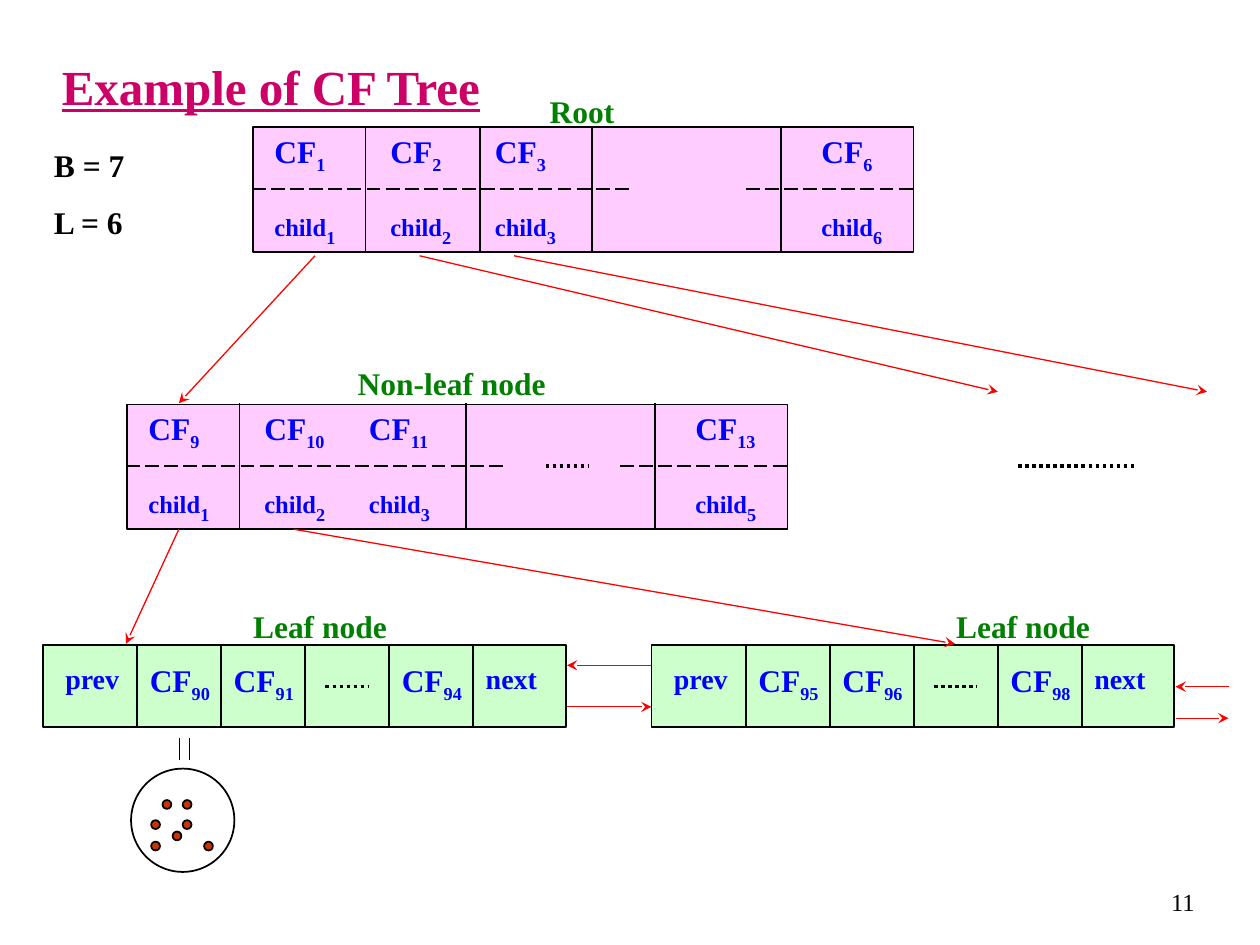
from dataclasses import dataclass

from lxml import etree
from pptx import Presentation
from pptx.dml.color import RGBColor
from pptx.enum.dml import MSO_LINE
from pptx.enum.shapes import MSO_CONNECTOR, MSO_SHAPE
from pptx.enum.text import MSO_ANCHOR, MSO_AUTO_SIZE, PP_ALIGN
from pptx.oxml.ns import qn
from pptx.util import Inches, Pt

STRAIGHT = MSO_CONNECTOR.STRAIGHT
RECT, OVAL = MSO_SHAPE.RECTANGLE, MSO_SHAPE.OVAL
DASH, DOTS = MSO_LINE.LONG_DASH, MSO_LINE.ROUND_DOT
LEFT, CENTER, RIGHT = PP_ALIGN.LEFT, PP_ALIGN.CENTER, PP_ALIGN.RIGHT
MIDDLE = MSO_ANCHOR.MIDDLE
FIT, NO_FIT = MSO_AUTO_SIZE.SHAPE_TO_FIT_TEXT, MSO_AUTO_SIZE.NONE


@dataclass(frozen=True)
class Theme:
    font: str = "Times New Roman"
    title: str = "CC0066"
    ink: str = "000000"
    entry: str = "0000FF"
    label: str = "008000"
    arrow: str = "FF0000"
    inner: str = "FFCCFF"
    leaf: str = "CCFFCC"
    point: str = "CC3300"
    title_size: int = 28
    text_size: int = 18
    link_size: int = 16
    small_size: int = 14
    edge: float = 1
    thin: float = 0.75
    hair: float = 0.25
    dots: float = 2


class TreeSlide:
    def __init__(self, prs, theme):
        self.theme = theme
        self.slide = prs.slides.add_slide(prs.slide_layouts[5])
        self.shapes = self.slide.shapes

    def start_group(self):
        self.shapes = self.slide.shapes.add_group_shape().shapes

    def end_group(self):
        self.shapes = self.slide.shapes

    def run(self, p, text, size, color, bold=True, underline=None, sub=False):
        r = p.add_run()
        r.text = text
        style = {"name": self.theme.font, "size": Pt(size),
                 "bold": bold, "underline": underline}
        for name, value in style.items():
            setattr(r.font, name, value)
        r.font.color.rgb = RGBColor.from_string(color)
        if sub:
            r.font._element.set("baseline", "-25000")

    def title(self, text, x, y, w, h):
        sp = self.slide.shapes.title
        place = {"left": x, "top": y, "width": w, "height": h}
        for name, value in place.items():
            setattr(sp, name, Inches(value))
        tf = sp.text_frame
        tf.auto_size, tf.vertical_anchor = NO_FIT, MIDDLE
        p = tf.paragraphs[0]
        p.alignment = LEFT
        self.run(p, text, self.theme.title_size, self.theme.title, underline=True)

    def text(self, lines, x, y, w, h, size, color, align=LEFT, sub=None,
             bold=True, anchor=None, before=0.62, fit=FIT):
        sp = self.shapes.add_textbox(Inches(x), Inches(y), Inches(w), Inches(h))
        tf = sp.text_frame
        frame = {"word_wrap": True, "auto_size": fit, "vertical_anchor": anchor}
        for name, value in frame.items():
            setattr(tf, name, value)
        for i, line in enumerate(lines):
            p = tf.add_paragraph() if i else tf.paragraphs[0]
            p.alignment, p.space_before = align, Pt(round(size * before, 1))
            self.run(p, line, size, color, bold)
            if sub:
                self.run(p, sub, self.theme.text_size, color, sub=True)

    def label(self, text, x, y, w):
        self.text([text], x, y, w, 0.4, self.theme.text_size, self.theme.label, CENTER)

    def entry(self, text, sub, x, y, w, size):
        self.text([text], x, y, w, 0.44, size, self.theme.entry, sub=sub)

    def shape(self, kind, x, y, w, h, fill=None):
        sp = self.shapes.add_shape(kind, Inches(x), Inches(y), Inches(w), Inches(h))
        sp.shadow.inherit = False
        if fill:
            sp.fill.solid()
            sp.fill.fore_color.rgb = RGBColor.from_string(fill)
        else:
            sp.fill.background()
        sp.line.color.rgb = RGBColor.from_string(self.theme.ink)
        sp.line.width = Pt(self.theme.edge)

    def line(self, x1, y1, x2, y2, width=None, color=None, dash=None, arrow=False):
        cx = self.shapes.add_connector(
            STRAIGHT, Inches(x1), Inches(y1), Inches(x2), Inches(y2))
        cx.line.color.rgb = RGBColor.from_string(color or self.theme.ink)
        cx.line.width = Pt(width or self.theme.edge)
        if dash:
            cx.line.dash_style = dash
        if arrow:
            ln = cx.line._get_or_add_ln()
            etree.SubElement(ln, qn("a:tailEnd")).set("type", "stealth")
        etree.SubElement(cx._element.spPr, qn("a:effectLst"))

    def arrow(self, x1, y1, x2, y2):
        self.line(x1, y1, x2, y2, self.theme.thin, self.theme.arrow, arrow=True)

    def dotted(self, x1, x2, y):
        self.line(x1, y, x2, y, self.theme.dots, dash=DOTS)

    def inner_node(self, x, y, dividers, entries):
        t = self.theme
        self.shape(RECT, x + 0.01, y + 0.01, 5.24, 0.99, t.inner)
        for dx in dividers:
            self.line(x + dx, y, x + dx, y + 1)
        for start, end in ((0, 3), (3.92, 5.25)):
            self.line(x + start, y + 0.5, x + end, y + 0.5, dash=DASH)
        for dx, (cf, child) in zip((0.08, 1, 1.83, 4.42), entries):
            self.entry("CF", cf, x + dx, y, 0.75, t.text_size)
            self.entry("child", child, x + dx, y + 0.58, 1, t.small_size)

    def leaf_node(self, x, y, numbers):
        t = self.theme
        self.shape(RECT, x, y + 0.01, 4.15, 0.65, t.leaf)
        cells = [x + 0.75 + i * 2 / 3 for i in range(5)]
        for cell in cells:
            self.line(cell, y, cell, y + 0.67)
        for i, number in zip((0, 1, 3), numbers):
            self.entry("CF", number, cells[i], y + 0.09, 0.75, t.text_size)
        self.dotted(cells[2] + 0.16, cells[2] + 0.5, y + 0.34)
        for word, left in (("prev", x + 0.08), ("next", cells[4])):
            self.text([word], left, y + 0.09, 0.75, 0.37, t.link_size, t.entry)


theme = Theme()
prs = Presentation()
prs.slide_width, prs.slide_height = Inches(10), Inches(7.5)
s = TreeSlide(prs, theme)

# Title and parameters
s.title("Example of CF Tree", 0.39, 0.37, 9.23, 0.62)
s.text(["B = 7", "L = 6"], 0.33, 1.11, 1.17, 0.86, theme.text_size, theme.ink)

# Root and non-leaf nodes
s.start_group()
s.inner_node(2, 1, (0.9, 1.81, 2.7, 4.2),
             (("1", "1"), ("2", "2"), ("3", "3"), ("6", "6")))
s.end_group()
s.inner_node(1, 3.2, (0.9, 2.7, 4.2),
             (("9", "1"), ("10", "2"), ("11", "3"), ("13", "5")))
s.dotted(4.33, 4.67, 3.7)
s.dotted(8.08, 9, 3.7)

# Leaf nodes
s.leaf_node(0.34, 5.11, ("90", "91", "94"))
s.leaf_node(5.17, 5.11, ("95", "96", "98"))

# Child pointers and leaf chain
for ends in ((2.5, 2.03, 1.42, 3.2), (3.33, 2.03, 7.92, 3.11),
             (4.08, 2.03, 9.58, 3.11), (1.42, 4.2, 1, 5.11),
             (2.33, 4.2, 7.58, 5.11), (5.17, 5.28, 4.5, 5.28),
             (4.5, 5.61, 5.17, 5.61), (9.33, 5.7, 9.75, 5.7),
             (9.75, 5.45, 9.33, 5.45)):
    s.arrow(*ends)

# Node labels
for name, x, y, w in (("Root", 4.08, 0.68, 1.08), ("Non-leaf node", 2.5, 2.84, 2.17),
                      ("Leaf node", 1.75, 4.77, 1.58), ("Leaf node", 7.33, 4.77, 1.58)):
    s.label(name, x, y, w)

# Points of one cluster
for x in (1.42, 1.5):
    s.line(x, 5.86, x, 6.03, theme.hair)
s.start_group()
for x, y in ((1.29, 6.35), (1.45, 6.51), (1.45, 6.35), (1.2, 6.68),
             (1.2, 6.51), (1.37, 6.6), (1.62, 6.68)):
    s.shape(OVAL, x, y, 0.07, 0.07, theme.point)
s.shape(OVAL, 1.04, 6.1, 0.82, 0.82)
s.end_group()

# Page number
s.text(["11"], 7.5, 6.91, 2.08, 0.5, theme.small_size, theme.ink, RIGHT,
       bold=False, anchor=MIDDLE, before=0, fit=NO_FIT)

prs.save("out.pptx")
